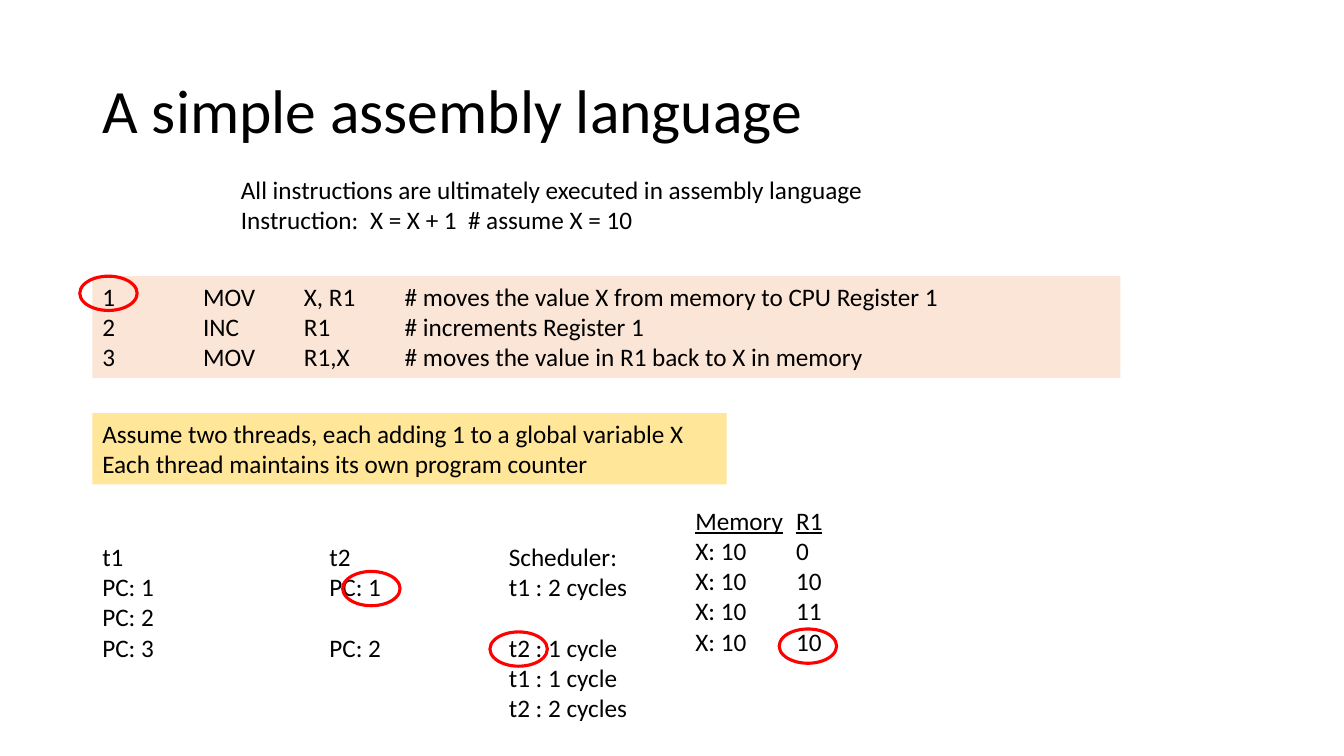
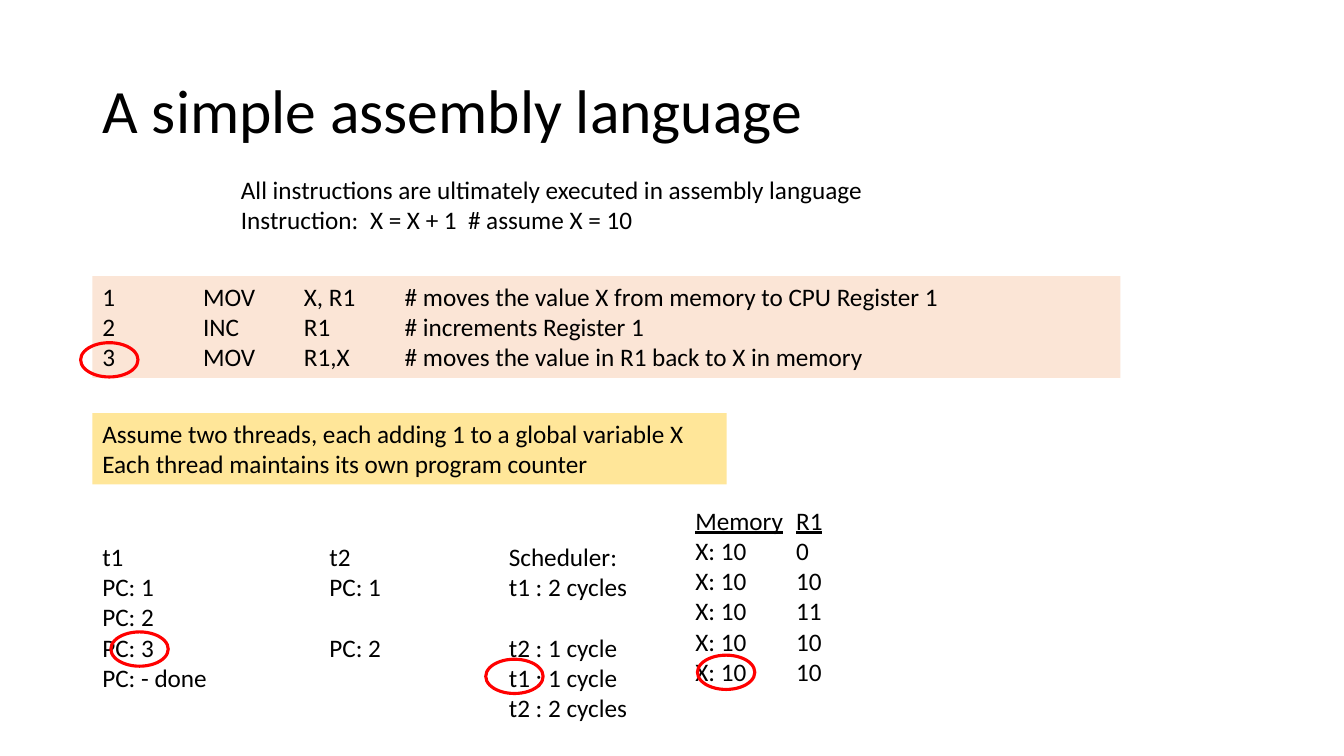
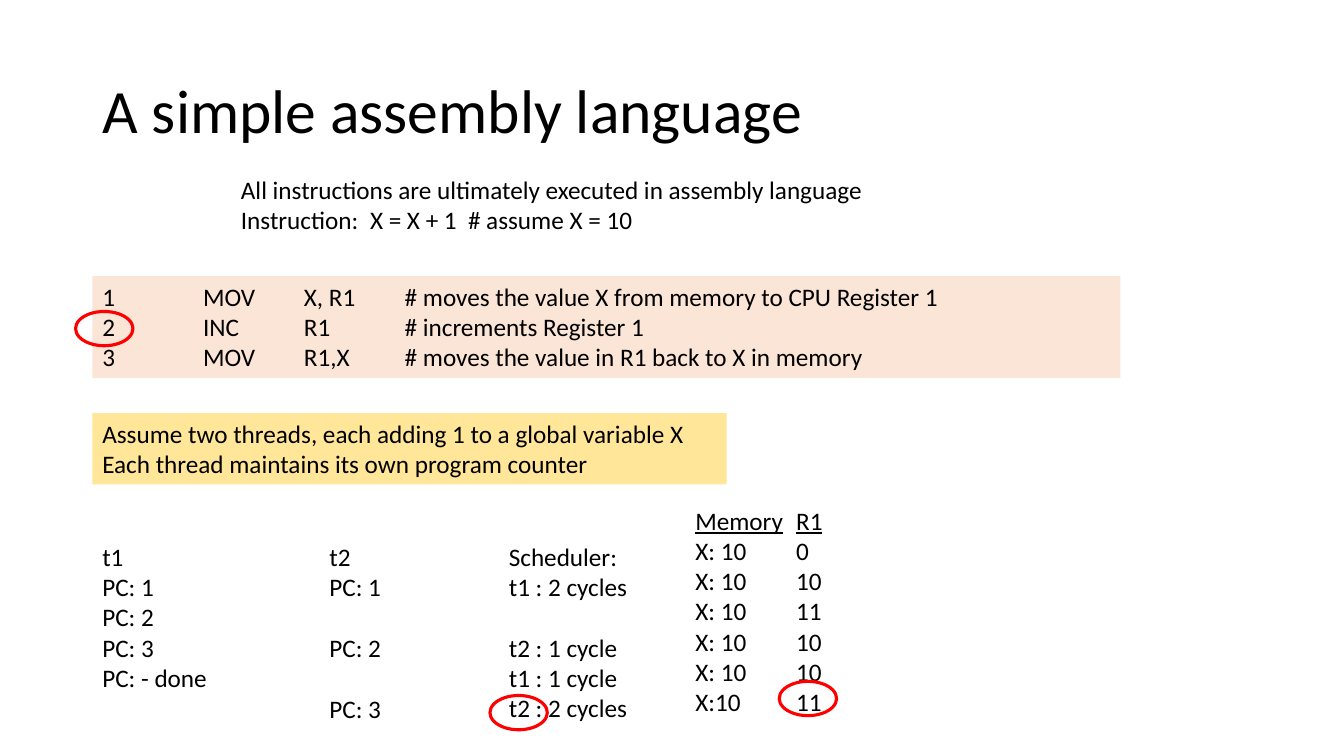
import lxml.etree
import pptx
import pptx.dml.color
import pptx.enum.shapes
import pptx.enum.text
import pptx.oxml.ns
import pptx.util

Pt = pptx.util.Pt

BLACK = pptx.dml.color.RGBColor(0x00, 0x00, 0x00)
RED = pptx.dml.color.RGBColor(0xFF, 0x00, 0x00)
PEACH = pptx.dml.color.RGBColor(0xFB, 0xE5, 0xD6)
YELLOW = pptx.dml.color.RGBColor(0xFF, 0xE6, 0x99)

FONT = "Calibri"
LINE_HEIGHT = 21.8
BOX_PADDING = 7.2
LEFT = 66
THREAD_TOP = 383
THREAD_WIDTH = 114
COLUMN_TABS = (72, 144, 216)
FORMULA_TABS = (92.2, 162.2)
MARKER_SIZE = (41, 24.5)

TITLE = "A simple assembly language"
INTRODUCTION = [
    "All instructions are ultimately executed in assembly language",
    "Instruction:\tX = X + 1\t# assume X = 10",
]
CODE = [
    "1\tMOV\tX, R1\t# moves the value X from memory to CPU Register 1",
    "2\tINC\tR1\t# increments Register 1",
    "3\tMOV\tR1,X\t# moves the value in R1 back to X in memory",
]
ASSUMPTIONS = [
    "Assume two threads, each adding 1 to a global variable X",
    "Each thread maintains its own program counter",
]
THREAD_1 = ["t1", "PC: 1", "PC: 2", "PC: 3", "PC: - done"]
THREAD_2 = ["t2", "PC: 1", None, "PC: 2", None, "PC: 3"]
SCHEDULER = ["Scheduler:", "t1 : 2 cycles", None, "t2 : 1 cycle",
             "t1 : 1 cycle", "t2 : 2 cycles"]
MEMORY = ["Memory\tR1", "X: 10\t0", "X: 10\t10", "X: 10\t11",
          "X: 10\t10", "X: 10\t10", "X:10\t11"]

STEPS = [
    {"thread_1": 4, "thread_2": 4, "memory": 5,
     "markers": [(57, 197.3), (350, 451.4), (244.8, 408.2), (556.6, 449.3)]},
    {"thread_1": 5, "thread_2": 4, "memory": 6,
     "markers": [(57.6, 244.8), (79.2, 451.4), (498.2, 468), (347, 470.9)]},
    {"thread_1": 5, "thread_2": 6, "memory": 7,
     "markers": [(54, 222.5), (350, 496.8), (556.6, 486.7)]},
]


def style_font(font, size):
    font.name = FONT
    font.size = Pt(size)
    font.color.rgb = BLACK


def set_tabs(paragraph, positions):
    properties = paragraph._p.get_or_add_pPr()
    tab_list = lxml.etree.SubElement(properties, pptx.oxml.ns.qn("a:tabLst"))
    for position in positions:
        tab = lxml.etree.SubElement(tab_list, pptx.oxml.ns.qn("a:tab"))
        tab.set("pos", str(int(Pt(position))))
        tab.set("algn", "l")


def add_title(slide):
    title = slide.shapes.title
    title.left, title.top, title.width, title.height = map(Pt, (LEFT, 28.8, 828, 104.4))
    frame = title.text_frame
    frame.text = TITLE
    frame.auto_size = pptx.enum.text.MSO_AUTO_SIZE.NONE
    frame.vertical_anchor = pptx.enum.text.MSO_ANCHOR.MIDDLE
    paragraph = frame.paragraphs[0]
    paragraph.alignment = pptx.enum.text.PP_ALIGN.LEFT
    paragraph.line_spacing = 0.9
    style_font(paragraph.font, 44)


def add_lines(slide, lines, left, top, width, fill=None, tabs=(), underline_first=False):
    height = len(lines) * LINE_HEIGHT + BOX_PADDING
    box = slide.shapes.add_textbox(Pt(left), Pt(top), Pt(width), Pt(height))
    if fill is not None:
        box.fill.solid()
        box.fill.fore_color.rgb = fill
    frame = box.text_frame
    frame.word_wrap = True
    frame.auto_size = pptx.enum.text.MSO_AUTO_SIZE.SHAPE_TO_FIT_TEXT
    for index, line in enumerate(lines):
        if line is None:
            continue
        paragraph = frame.paragraphs[0] if index == 0 else frame.add_paragraph()
        paragraph.text = line
        if index and lines[index - 1] is None:
            paragraph.space_before = Pt(LINE_HEIGHT)
        if tabs:
            set_tabs(paragraph, tabs)
        style_font(paragraph.font, 18)
        if underline_first and index == 0:
            paragraph.font.underline = True


def add_marker(slide, left, top):
    marker = slide.shapes.add_shape(
        pptx.enum.shapes.MSO_SHAPE.OVAL, Pt(left), Pt(top), *map(Pt, MARKER_SIZE))
    marker.shadow.inherit = False
    marker.fill.background()
    marker.line.color.rgb = RED
    marker.line.width = Pt(2.25)


def add_step(presentation, step):
    slide = presentation.slides.add_slide(presentation.slide_layouts[5])
    add_title(slide)
    add_lines(slide, CODE, LEFT, 197.3, 734.4, fill=PEACH, tabs=COLUMN_TABS)
    add_lines(slide, INTRODUCTION, 165, 121, 546.5, tabs=FORMULA_TABS)
    add_lines(slide, ASSUMPTIONS, LEFT, 295.2, 453, fill=YELLOW)
    threads = [
        (THREAD_1[:step["thread_1"]], LEFT),
        (THREAD_2[:step["thread_2"]], 228.2),
        (SCHEDULER, 356.4),
    ]
    for lines, left in threads:
        add_lines(slide, lines, left, THREAD_TOP, THREAD_WIDTH)
    add_lines(slide, MEMORY[:step["memory"]], 489.6, 357.1, 175.7,
              tabs=COLUMN_TABS, underline_first=True)
    for left, top in step["markers"]:
        add_marker(slide, left, top)


def main():
    presentation = pptx.Presentation()
    presentation.slide_width = Pt(960)
    presentation.slide_height = Pt(540)
    for step in STEPS:
        add_step(presentation, step)
    presentation.save("out.pptx")


if __name__ == "__main__":
    main()
